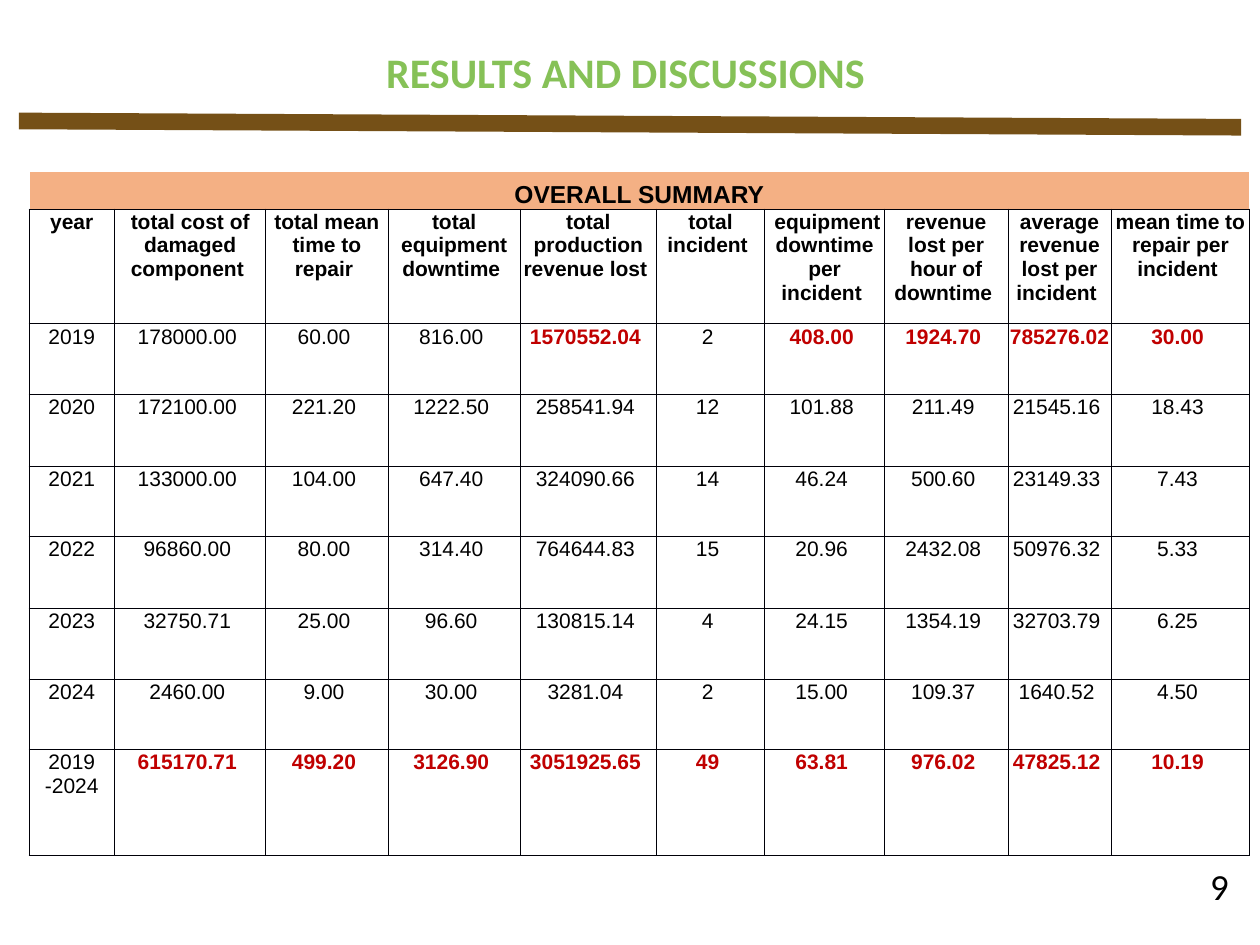
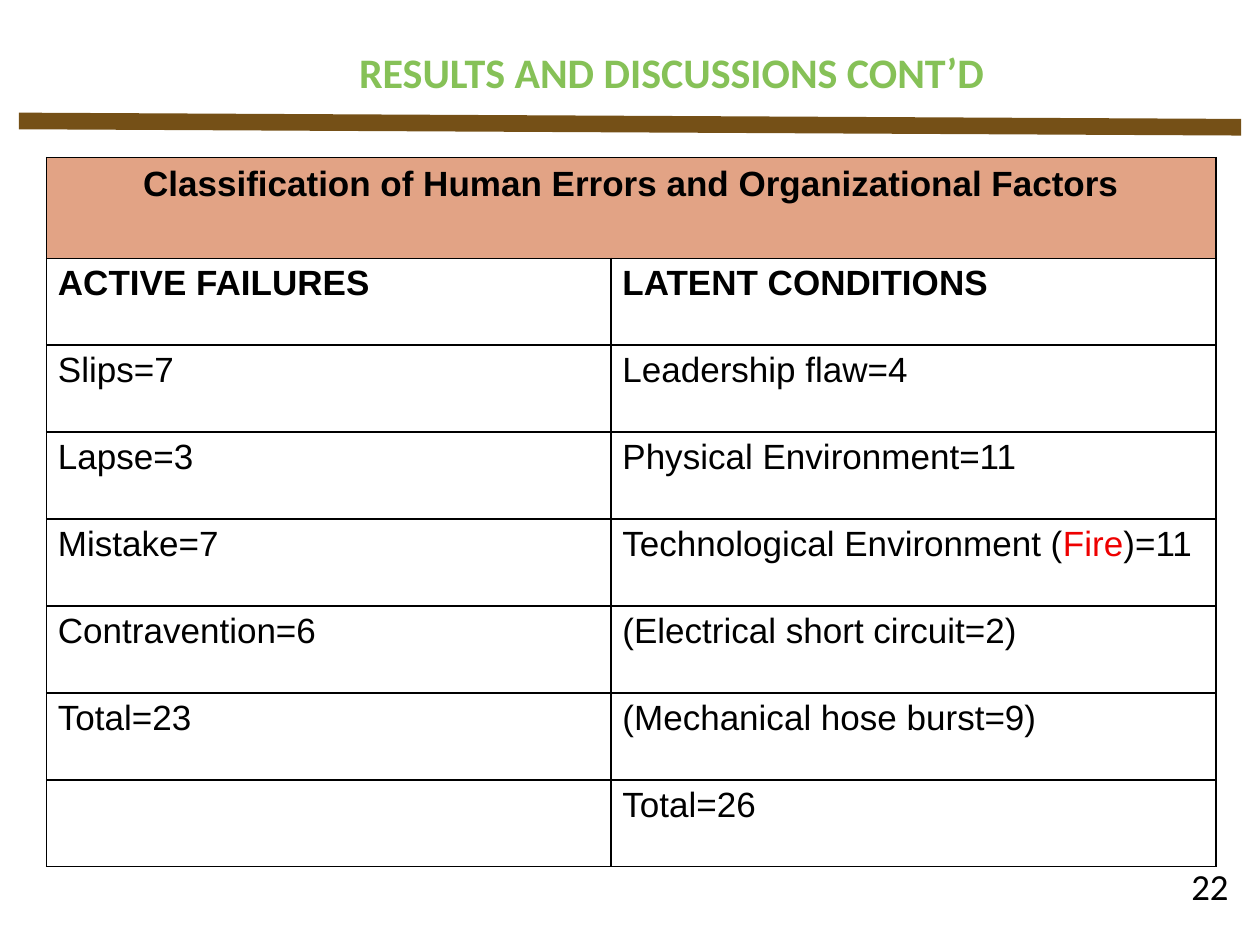
from dataclasses import dataclass
from pptx import Presentation
from pptx.dml.color import RGBColor as RGB
from pptx.enum.shapes import MSO_CONNECTOR as LINK
from pptx.enum.text import MSO_ANCHOR as ANCHOR, MSO_AUTO_SIZE as FIT, PP_ALIGN as ALIGN
from pptx.oxml.ns import qn
from pptx.util import Inches, Pt
from lxml.etree import SubElement as sub


@dataclass(frozen=True)
class Theme:
    ink = RGB(0, 0, 0)
    green = RGB(0x86, 0xC1, 0x57)
    brown = RGB(0x75, 0x50, 0x17)
    title = {"name": "Calibri", "size": Pt(24), "bold": True}
    number = {"name": "Calibri", "size": Pt(21), "bold": False}
    bar = Pt(9.5)


theme = Theme()


def write(frame, parts, look, form):
    """Fill the first paragraph with (text, colour, bold) parts."""
    para = frame.paragraphs[0]
    for key, val in form.items():
        setattr(para, key, val)
    for text, hue, bold in parts:
        run = para.add_run()
        run.text = text
        for key, val in {**look, "bold": bold}.items():
            setattr(run.font, key, val)
        run.font.color.rgb = hue


def edge(cell, sides, width, hue):
    """Draw cell borders; sides are letters out of LRTB, in that order."""
    props = cell._tc.get_or_add_tcPr()
    for spot, side in enumerate(sides):
        line = sub(props, qn(f"a:ln{side}"), w=str(Pt(width)))
        sub(sub(line, qn("a:solidFill")), qn("a:srgbClr"), val=hue)
        props.insert(spot, line)


# A bar in a cell's text switches the accent colour on and off.
pages = [
    {
        "title": "RESULTS AND DISCUSSIONS", "spot": (2.82, 4.29), "number": "9",
        "box": (0.23, 1.36, 9.7, 5.45),
        "cols": [0.68, 1.2, 0.97, 1.05, 1.08, 0.86, 0.95, 0.98, 0.82, 1.1],
        "rows": [0.3, 0.91] + [0.56, 0.57] * 2 + [0.56] * 2 + [0.84],
        "head": "OVERALL SUMMARY", "band": "F4B084", "anchor": ANCHOR.BOTTOM,
        "inset": {"head": (0.01, 0.01, 0.01, 0), "body": (0.01, 0.01, 0.01, 0)},
        "look": {"name": "Arial", "size": Pt(12)}, "top": Pt(14),
        "form": {"alignment": ALIGN.CENTER},
        "line": (0.5, "000008"), "sides": "B",
        "accent": RGB(0xC0, 0, 0), "strong": True, "pad": " ",
        "cells": [
            "year, total cost of damaged component, total mean time to repair, "
            "total equipment downtime, total production revenue lost, total incident, "
            " equipment downtime per incident, revenue lost per hour of downtime, "
            "average revenue lost per incident, mean time to repair per incident",
            "2019, 178000.00, 60.00, 816.00, |1570552.04, 2, |408.00, |1924.70, |785276.02, |30.00",
            "2020, 172100.00, 221.20, 1222.50, 258541.94, 12, 101.88, 211.49, 21545.16, 18.43",
            "2021, 133000.00, 104.00, 647.40, 324090.66, 14, 46.24, 500.60, 23149.33, 7.43",
            "2022, 96860.00, 80.00, 314.40, 764644.83, 15, 20.96, 2432.08, 50976.32, 5.33",
            "2023, 32750.71, 25.00, 96.60, 130815.14, 4, 24.15, 1354.19, 32703.79, 6.25",
            "2024, 2460.00, 9.00, 30.00, 3281.04, 2, 15.00, 109.37, 1640.52, 4.50",
            "2019 -2024, |615170.71, |499.20, |3126.90, |3051925.65, |49, |63.81, |976.02, "
            "|47825.12, |10.19",
        ],
    },
    {
        "title": "RESULTS AND DISCUSSIONS CONT’D", "spot": (2.38, 5.9), "number": "22",
        "box": (0.37, 1.25, 9.28, 5.63),
        "cols": [4.48, 4.8],
        "rows": [0.8] + [0.69] * 7,
        "head": "Classification of Human Errors and Organizational Factors",
        "band": "E2A385", "anchor": ANCHOR.TOP,
        "inset": {"head": (0.12, 0.06, 0.12, 0.06), "body": (0.09, 0, 0.09, 0)},
        "look": {"name": "Arial", "size": Pt(20)}, "top": Pt(20),
        "form": {"alignment": ALIGN.JUSTIFY, "line_spacing": 1.15},
        "line": (1, "000000"), "sides": "LRTB",
        "accent": RGB(0xEE, 0, 0), "strong": False, "pad": "",
        "cells": [
            "ACTIVE FAILURES, LATENT CONDITIONS",
            "Slips=7, Leadership flaw=4",
            "Lapse=3, Physical Environment=11",
            "Mistake=7, Technological Environment (|Fire|)=11",
            "Contravention=6, (Electrical short circuit=2)",
            "Total=23, (Mechanical hose burst=9)",
            ", Total=26",
        ],
    },
]

deck = Presentation()
deck.slide_width, deck.slide_height = Inches(10), Inches(7.5)

for page in pages:
    slide = deck.slides.add_slide(deck.slide_layouts[5])

    # Title, page number and rule
    title = slide.shapes.title
    left, width = page["spot"]
    place = {"left": left, "top": 0.32, "width": width, "height": 0.5}
    for key, val in place.items():
        setattr(title, key, Inches(val))
    number = slide.shapes.add_textbox(*map(Inches, (9.22, 6.88, 0.63, 0.3)))
    for shape, text, look, hue, align, anchor in (
        (title, page["title"], theme.title, theme.green, ALIGN.CENTER, ANCHOR.TOP),
        (number, page["number"], theme.number, theme.ink, ALIGN.RIGHT, ANCHOR.MIDDLE),
    ):
        frame = shape.text_frame
        setup = {"word_wrap": True, "auto_size": FIT.NONE, "vertical_anchor": anchor}
        for key, val in setup.items():
            setattr(frame, key, val)
        write(frame, [(text, hue, look["bold"])], look, {"alignment": align})

    rule = slide.shapes.add_connector(LINK.STRAIGHT, *map(Inches, (0.15, 0.96, 9.85, 1.01)))
    rule.line.color.rgb, rule.line.width = theme.brown, theme.bar
    sub(rule._element.spPr, qn("a:effectLst"))

    # Table
    cols, rows = page["cols"], page["rows"]
    table = slide.shapes.add_table(len(rows), len(cols), *map(Inches, page["box"])).table
    table.first_row = table.horz_banding = False
    for col, size in zip(table.columns, cols):
        col.width = Inches(size)
    for row, size in zip(table.rows, rows):
        row.height = Inches(size)
    table.cell(0, 0).merge(table.cell(0, len(cols) - 1))

    lines = [[page["head"]] + [""] * (len(cols) - 1)]
    lines += [line.split(", ") for line in page["cells"]]
    for r, line in enumerate(lines):
        for c, text in enumerate(line):
            cell = table.cell(r, c)
            inset = page["inset"]["body" if r else "head"]
            for side, gap in zip(("left", "top", "right", "bottom"), inset):
                setattr(cell, f"margin_{side}", Inches(gap))
            if r:
                cell.fill.background()
                look, form = page["look"], page["form"]
                text += page["pad"] if c else ""
            else:
                cell.fill.solid()
                cell.fill.fore_color.rgb = RGB.from_string(page["band"])
                cell.vertical_anchor = page["anchor"]
                look = {**page["look"], "size": page["top"]}
                form = {"alignment": ALIGN.CENTER}
            edge(cell, "LRTB" if r else page["sides"], *page["line"])
            parts = [
                (part, page["accent"], page["strong"]) if i % 2 else (part, theme.ink, r < 2)
                for i, part in enumerate(text.split("|")) if part
            ]
            write(cell.text_frame, parts, look, form)

deck.save("out.pptx")
